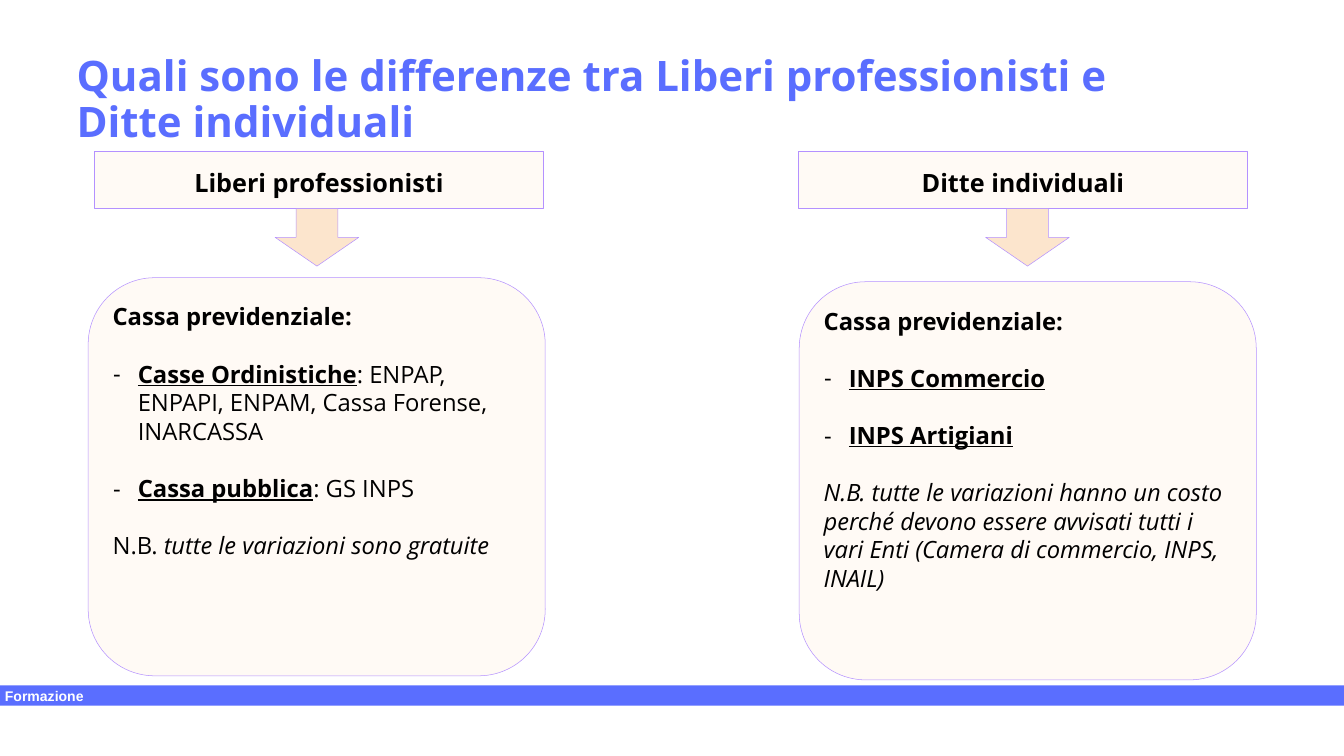
import dataclasses
import typing

import lxml.etree
import pptx
import pptx.dml.color
import pptx.enum.shapes
import pptx.enum.text
import pptx.oxml.ns
import pptx.util

PX = 9144  # EMU per px, 100 px to the inch
SHAPE = pptx.enum.shapes.MSO_SHAPE
ALIGN = pptx.enum.text.PP_ALIGN
ANCHOR = pptx.enum.text.MSO_ANCHOR


@dataclasses.dataclass(frozen=True)
class Theme:
    accent: str = "5A6EFF"
    border: str = "B491FF"
    panel: str = "FFFAF5"
    arrow: str = "FCE5CD"
    ink: str = "000000"
    paper: str = "FFFFFF"
    font: str = "Open Sans"
    footer_font: str = "Arial"
    title_size: int = 60
    heading_size: int = 36
    body_size: int = 34
    footer_size: int = 20
    body_gap: int = 41


THEME = Theme()


class Box(typing.NamedTuple):
    left: int
    top: int
    width: int
    height: int


class Span(typing.NamedTuple):
    text: str
    bold: bool = False
    italic: bool = False
    underline: bool = False


class Para(typing.NamedTuple):
    spans: list[Span]
    bullet: bool = False


@dataclasses.dataclass(frozen=True)
class Column:
    heading: str
    heading_left: int
    arrow_left: int
    card_left: int
    card_top: int
    paras: list[Para]


CARD_TITLE = Para([Span("Cassa previdenziale:", bold=True)])

COLUMNS = [
    Column("Liberi professionisti", 187, 546, 175, 551, [
        CARD_TITLE,
        Para([Span("Casse Ordinistiche", bold=True, underline=True),
              Span(": ENPAP, ENPAPI, ENPAM, Cassa Forense, INARCASSA")], bullet=True),
        Para([Span("Cassa pubblica", bold=True, underline=True),
              Span(": GS INPS")], bullet=True),
        Para([Span("N.B. "), Span("tutte le variazioni sono gratuite", italic=True)]),
    ]),
    Column("Ditte individuali", 1584, 1956, 1586, 559, [
        CARD_TITLE,
        Para([Span("INPS Commercio", bold=True, underline=True)], bullet=True),
        Para([Span("INPS Artigiani", bold=True, underline=True)], bullet=True),
        Para([Span("N.B. tutte le variazioni hanno un costo perché devono essere avvisati "
                   "tutti i vari Enti (Camera di commercio, INPS, INAIL)", italic=True)]),
    ]),
]


def rgb(value: str) -> pptx.dml.color.RGBColor:
    return pptx.dml.color.RGBColor.from_string(value)


def place(shape, box: Box) -> None:
    shape.left, shape.top, shape.width, shape.height = (side * PX for side in box)


def set_frame(frame, inset: int, anchor) -> None:
    frame.word_wrap = True
    frame.auto_size = pptx.enum.text.MSO_AUTO_SIZE.NONE
    frame.vertical_anchor = anchor
    frame.margin_left = frame.margin_right = inset * PX
    frame.margin_top = frame.margin_bottom = inset * PX


def add_span(paragraph, span: Span, size: int, color: str, font: str = THEME.font) -> None:
    run = paragraph.add_run()
    run.text = span.text
    run.font.name = font
    run.font.size = pptx.util.Pt(size)
    run.font.color.rgb = rgb(color)
    run.font.bold = span.bold
    run.font.italic = span.italic
    run.font.underline = span.underline


def add_dash(paragraph) -> None:
    """Give the paragraph a hanging dash bullet."""
    properties = paragraph._p.get_or_add_pPr()
    properties.set("marL", str(50 * PX))
    properties.set("indent", str(-49 * PX))
    qn = pptx.oxml.ns.qn
    color = lxml.etree.SubElement(properties, qn("a:buClr"))
    lxml.etree.SubElement(color, qn("a:srgbClr"), val=THEME.ink)
    lxml.etree.SubElement(properties, qn("a:buFont"), typeface=THEME.font)
    lxml.etree.SubElement(properties, qn("a:buChar"), char="-")


def add_panel(slide, kind, box: Box, fill: str, border: str | None = THEME.border):
    shape = slide.shapes.add_shape(kind, *(side * PX for side in box))
    shape.shadow.inherit = False
    shape.fill.solid()
    shape.fill.fore_color.rgb = rgb(fill)
    if border:
        shape.line.color.rgb = rgb(border)
        shape.line.width = pptx.util.Pt(0.75)
    else:
        shape.line.fill.background()
    return shape


def add_title(slide, text: str) -> None:
    title = slide.shapes.title
    place(title, Box(125, 101, 2241, 199))
    set_frame(title.text_frame, 27, ANCHOR.MIDDLE)
    paragraph = title.text_frame.paragraphs[0]
    paragraph.alignment = ALIGN.LEFT
    paragraph.line_spacing = 0.9
    add_span(paragraph, Span(text, bold=True), THEME.title_size, THEME.accent)


def add_heading(slide, column: Column) -> None:
    box = Box(column.heading_left, 300, 892, 114)
    frame = add_panel(slide, SHAPE.RECTANGLE, box, THEME.panel).text_frame
    set_frame(frame, 10, ANCHOR.MIDDLE)
    paragraph = frame.paragraphs[0]
    paragraph.alignment = ALIGN.CENTER
    paragraph.line_spacing = 1.15
    add_span(paragraph, Span(column.heading, bold=True), THEME.heading_size, THEME.ink)


def add_card(slide, column: Column) -> None:
    box = Box(column.card_left, column.card_top, 907, 790)
    card = add_panel(slide, SHAPE.ROUNDED_RECTANGLE, box, THEME.panel)
    card.adjustments[0] = 0.167
    frame = card.text_frame
    set_frame(frame, 10, ANCHOR.TOP)
    for index, para in enumerate(column.paras):
        paragraph = frame.add_paragraph() if index else frame.paragraphs[0]
        paragraph.alignment = ALIGN.LEFT
        if index:
            paragraph.space_before = pptx.util.Pt(THEME.body_gap)
        if para.bullet:
            add_dash(paragraph)
        for span in para.spans:
            add_span(paragraph, span, THEME.body_size, THEME.ink)


def add_footer(slide, text: str) -> None:
    box = Box(0, 1360, 2667, 40)
    frame = add_panel(slide, SHAPE.RECTANGLE, box, THEME.accent, None).text_frame
    set_frame(frame, 10, ANCHOR.MIDDLE)
    paragraph = frame.paragraphs[0]
    paragraph.alignment = ALIGN.LEFT
    add_span(paragraph, Span(text, bold=True), THEME.footer_size, THEME.paper, THEME.footer_font)


def main() -> None:
    deck = pptx.Presentation()
    deck.slide_width, deck.slide_height = 2667 * PX, 1500 * PX
    slide = deck.slides.add_slide(deck.slide_layouts[5])
    add_title(slide, "Quali sono le differenze tra Liberi professionisti e Ditte individuali")
    for column in COLUMNS:
        add_heading(slide, column)
        add_card(slide, column)
        add_panel(slide, SHAPE.DOWN_ARROW, Box(column.arrow_left, 414, 166, 114), THEME.arrow)
    add_footer(slide, "Formazione")
    deck.save("out.pptx")


if __name__ == "__main__":
    main()
